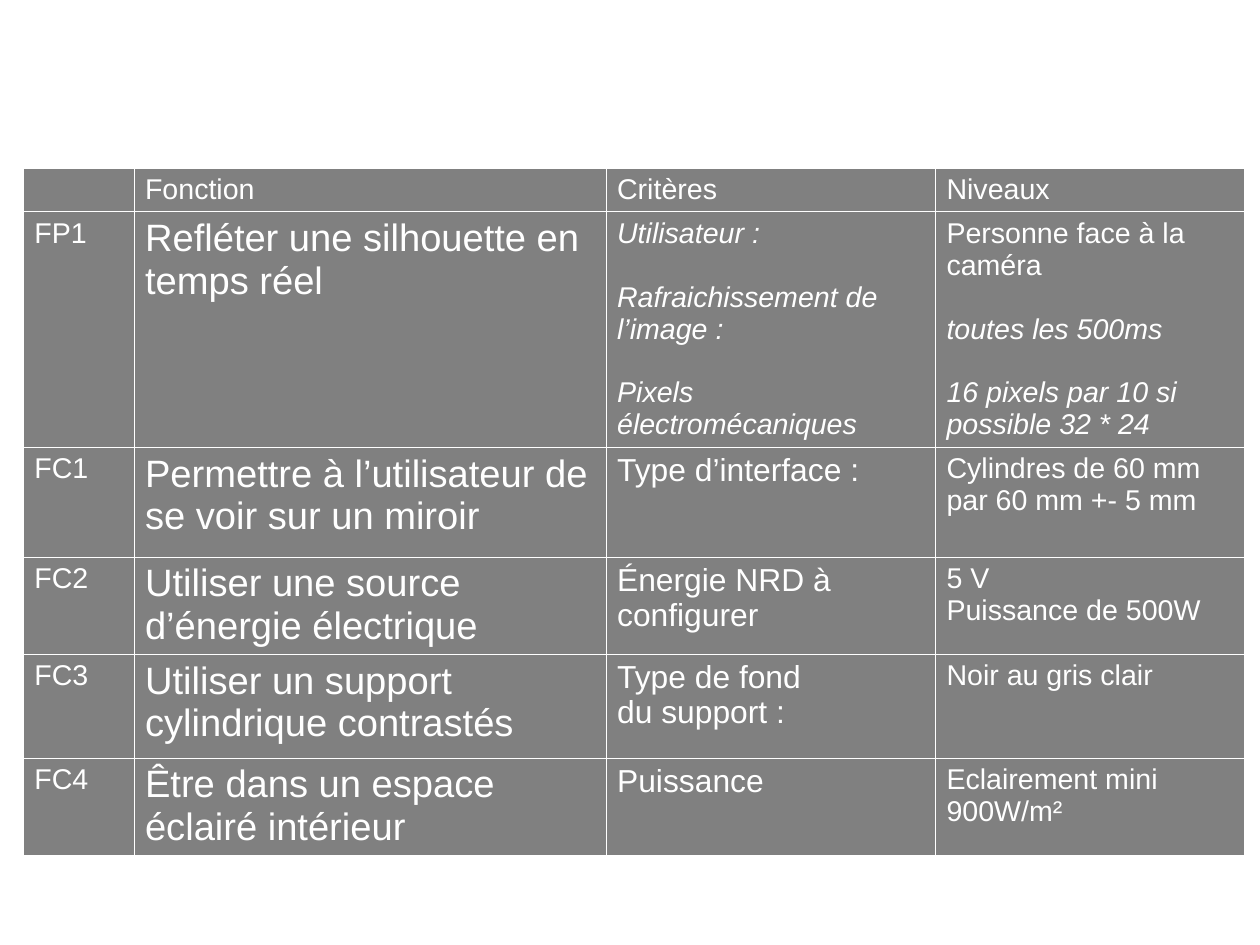
from lxml.etree import SubElement
from pptx import Presentation
from pptx.dml.color import RGBColor
from pptx.oxml.ns import qn
from pptx.util import Cm, Pt

COLORS = {"cell": "808080", "text": "FFFFFF", "border": "FFFFFF"}
FONT = "Arial"
BORDER_WIDTH = Pt(0.06)
GROUP_GAP = 20.1

COLUMN_WIDTHS = [2.46, 10.49, 7.32, 6.86]
ROW_HEIGHTS = [0.97, 5.23, 2.44, 2.16, 2.31, 2.16]
COLUMN_SIZES = [18, 24, 20, 18]

HEADERS = ["", "Fonction", "Critères", "Niveaux"]
# Each line break in a cell starts a new paragraph
FUNCTIONS = [
    ["FP1", "Refléter une silhouette en temps réel",
     "Utilisateur :\nRafraichissement de l’image :\nPixels électromécaniques",
     "Personne face à la caméra\ntoutes les 500ms\n"
     "16 pixels par 10 si possible 32 * 24"],
    ["FC1", "Permettre à l’utilisateur de se voir sur un miroir",
     "Type d’interface :", "Cylindres de 60 mm par 60 mm +- 5 mm"],
    ["FC2", "Utiliser une source d’énergie électrique",
     "Énergie NRD à configurer", "5 V\nPuissance de 500W"],
    ["FC3", "Utiliser un support cylindrique contrastés",
     "Type de fond\ndu support :", "Noir au gris clair"],
    ["FC4", "Être dans un espace éclairé intérieur",
     "Puissance", "Eclairement mini 900W/m²"],
]
# Formats that differ from the rule of the column, by row and column
SPECIAL_FORMATS = {
    (1, 2): {"size": 18, "gap": GROUP_GAP, "italic_from": 0},
    (1, 3): {"gap": GROUP_GAP, "italic_from": 1},
}


def write_text(text_frame, text, size=18, gap=0, italic_from=None):
    """Write one paragraph per line, italic from the given line on."""
    for index, line in enumerate(text.split("\n")):
        paragraph = text_frame.paragraphs[0] if index == 0 else text_frame.add_paragraph()
        if index and gap:
            paragraph.space_before = Pt(gap)
        font = paragraph.font
        if line:
            run = paragraph.add_run()
            run.text = line
            font = run.font
        font.name = FONT
        font.size = Pt(size)
        font.italic = italic_from is not None and index >= italic_from
        font.color.rgb = RGBColor.from_string(COLORS["text"])


def format_cell(cell):
    """Draw the four borders, then the fill."""
    properties = cell._tc.get_or_add_tcPr()
    for side in ("a:lnL", "a:lnR", "a:lnT", "a:lnB"):
        line = SubElement(properties, qn(side), w=str(int(BORDER_WIDTH)))
        fill = SubElement(line, qn("a:solidFill"))
        SubElement(fill, qn("a:srgbClr"), val=COLORS["border"])
    cell.fill.solid()
    cell.fill.fore_color.rgb = RGBColor.from_string(COLORS["cell"])


def add_function_table(slide, rows):
    shape = slide.shapes.add_table(
        len(rows), len(COLUMN_WIDTHS), Cm(0.51), Cm(3.73),
        Cm(sum(COLUMN_WIDTHS)), Cm(sum(ROW_HEIGHTS)))
    table = shape.table
    table.first_row = False
    table.horz_banding = False
    for column, width in zip(table.columns, COLUMN_WIDTHS):
        column.width = Cm(width)
    for row, height in zip(table.rows, ROW_HEIGHTS):
        row.height = Cm(height)

    for row_index, texts in enumerate(rows):
        for column_index, text in enumerate(texts):
            cell = table.cell(row_index, column_index)
            size = COLUMN_SIZES[column_index] if row_index else 18
            special = SPECIAL_FORMATS.get((row_index, column_index), {})
            write_text(cell.text_frame, text, **{"size": size, **special})
            format_cell(cell)


def main():
    presentation = Presentation()
    presentation.slide_width = Cm(28)
    presentation.slide_height = Cm(21)
    slide = presentation.slides.add_slide(presentation.slide_layouts[6])
    add_function_table(slide, [HEADERS, *FUNCTIONS])
    presentation.save("out.pptx")


if __name__ == "__main__":
    main()
